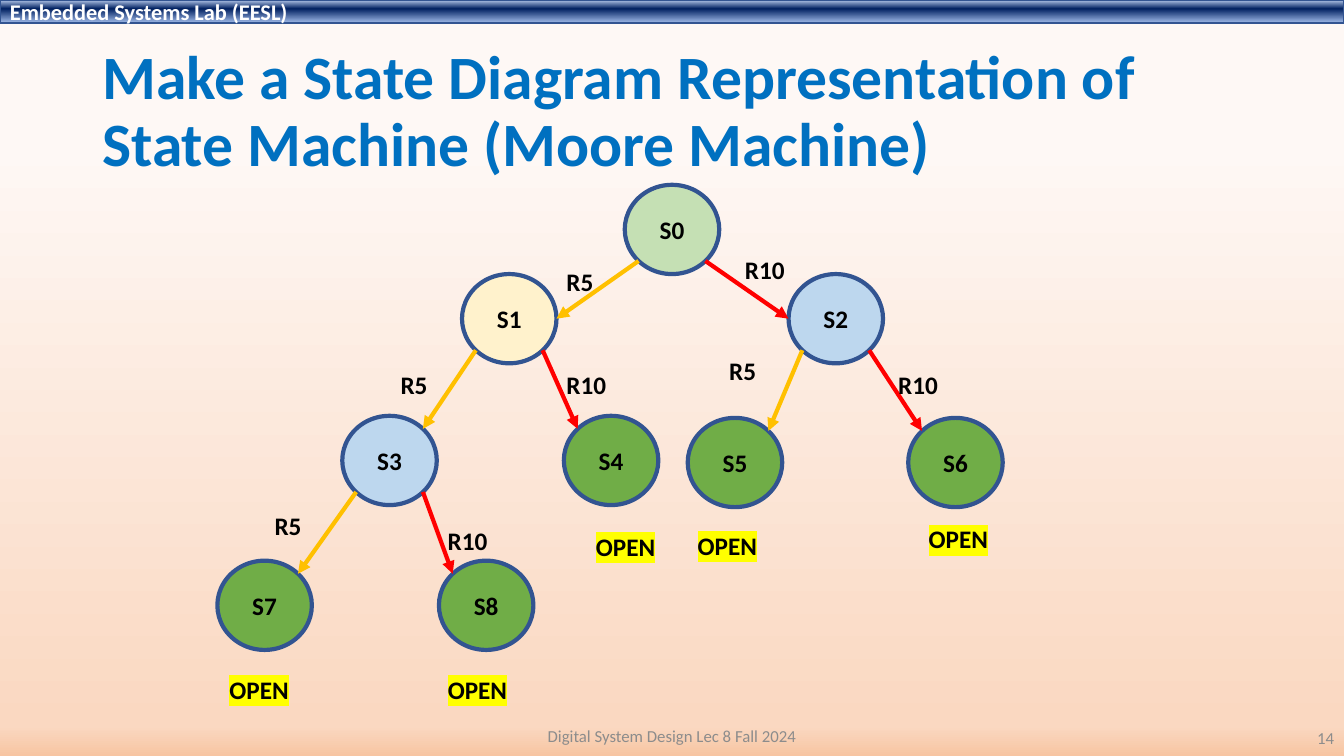
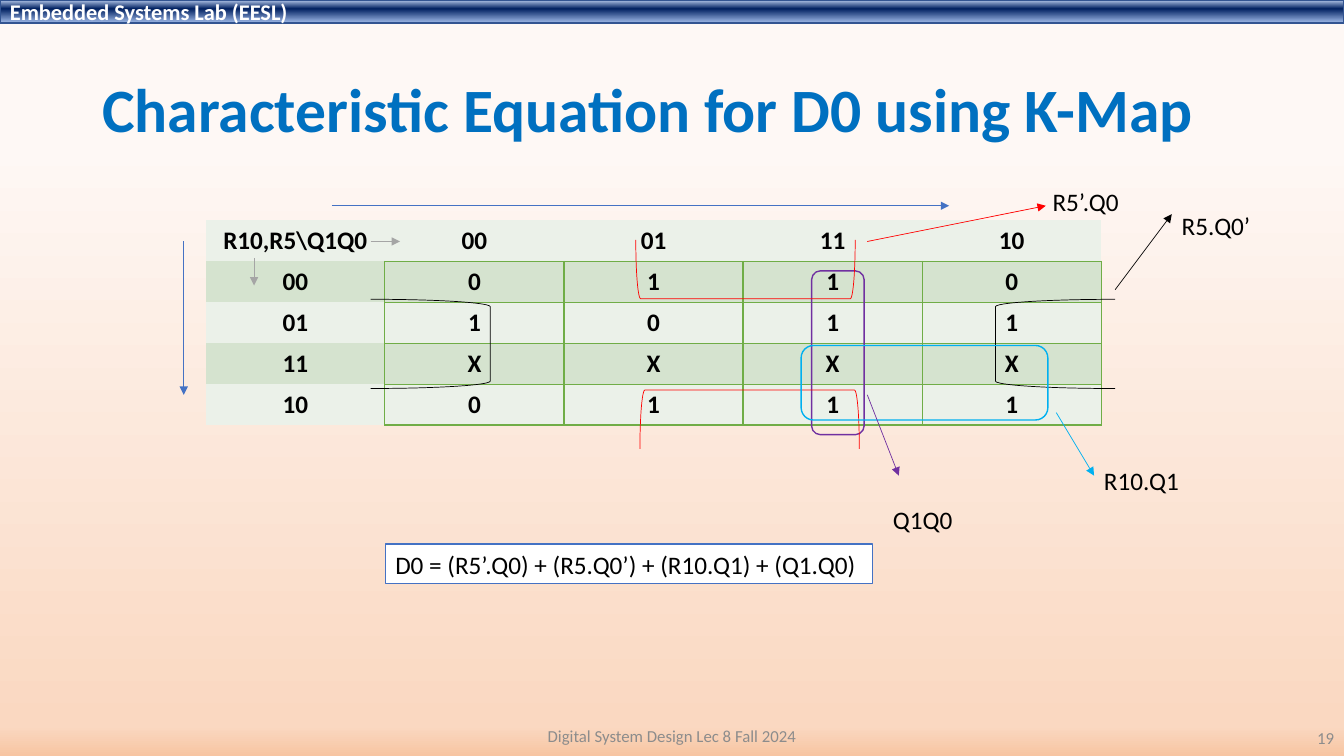
from math import cos, radians, sin

from lxml import etree
from pptx import Presentation
from pptx.dml.color import RGBColor
from pptx.enum.shapes import MSO_CONNECTOR, MSO_SHAPE
from pptx.enum.text import MSO_ANCHOR, MSO_AUTO_SIZE, PP_ALIGN
from pptx.oxml.ns import qn
from pptx.util import Pt

PX = 9525
WIDTH, HEIGHT = 1280, 720
FONT = "Calibri"
LEFT, CENTER, RIGHT = PP_ALIGN.LEFT, PP_ALIGN.CENTER, PP_ALIGN.RIGHT
MIDDLE = MSO_ANCHOR.MIDDLE
GROW = MSO_AUTO_SIZE.SHAPE_TO_FIT_TEXT
STRAIGHT = MSO_CONNECTOR.STRAIGHT
RECT, OVAL = MSO_SHAPE.RECTANGLE, MSO_SHAPE.OVAL
ROUNDED, BRACKET = MSO_SHAPE.ROUNDED_RECTANGLE, MSO_SHAPE.RIGHT_BRACKET
NO_STYLE = "{2D5ABB26-0587-4C30-8999-92F81FD0307C}"

BLACK, WHITE, RED, AMBER = "000000", "FFFFFF", "FF0000", "FFC000"
NAVY, BLUE, CYAN, PURPLE = "325491", "4472C4", "00B0F0", "7030A0"
TITLE, MUTED, GRAY, YELLOW = "0070C0", "8C8C8C", "A5A5A5", "FFFF00"
GREEN, MINT, CREAM, SKY = "70AD47", "C5E0B4", "FFF2CC", "BDD7EE"
ROW_FILLS = "EBF1E9", "D5E3CF"
BACKGROUND = [(19, "FEF8F5"), (96, "FAD8C1"), (100, "F7C5A2")]
BAND = [(2, "ABC0E4"), (38, "002060"), (93, "8FAADA")]


def px(*values):
    return [round(v * PX) for v in values]


def rgb(color):
    return RGBColor.from_string(color)


def paint_gradient(fill, element, stops):
    """Fill from top to bottom with (percent, colour) stops."""
    fill.gradient()
    fill.gradient_angle = 270
    gs_list = next(element.iter(qn("a:gsLst")))
    for gs in list(gs_list):
        gs_list.remove(gs)
    for percent, color in stops:
        gs = etree.SubElement(gs_list, qn("a:gs"), pos=str(percent * 1000))
        etree.SubElement(gs, qn("a:srgbClr"), val=color)


def write(tf, text, size=18, color=BLACK, bold=False, align=LEFT, highlight=None):
    p = tf.paragraphs[0]
    p.alignment = align
    r = p.add_run()
    r.text = text
    r.font.color.rgb = rgb(color)
    for name, value in {"name": FONT, "size": Pt(size), "bold": bold}.items():
        setattr(r.font, name, value)
    if highlight:
        mark = etree.Element(qn("a:highlight"))
        etree.SubElement(mark, qn("a:srgbClr"), val=highlight)
        r.font.fill  # the colour element precedes the highlight
        next(r.font._element.iter(qn("a:solidFill"))).addnext(mark)
    return p


def add_text(slide, box, text, **style):
    """Wrapped text, centred vertically in its box."""
    tf = slide.shapes.add_textbox(*px(*box)).text_frame
    tf.word_wrap = True
    tf.vertical_anchor = MIDDLE
    return write(tf, text, **style)


def add_label(slide, x, y, w, text, **style):
    """One line of text in a box that fits it."""
    sp = slide.shapes.add_textbox(*px(x, y, w, 38))
    sp.text_frame.word_wrap = False
    sp.text_frame.auto_size = GROW
    write(sp.text_frame, text, **style)
    return sp


def add_shape(slide, kind, box, line, width, fill=None, rotation=0):
    sp = slide.shapes.add_shape(kind, *px(*box))
    sp.shadow.inherit = False
    sp.rotation = rotation
    if fill:
        sp.fill.solid()
        sp.fill.fore_color.rgb = rgb(fill)
    else:
        sp.fill.background()
    sp.line.color.rgb = rgb(line)
    sp.line.width = Pt(width)
    return sp


def add_arrow(slide, start, end, color, width=0.5):
    c = slide.shapes.add_connector(STRAIGHT, *px(*start, *end))
    c.line.color.rgb = rgb(color)
    c.line.width = Pt(width)
    sp_pr = c.element.spPr
    etree.SubElement(sp_pr.find(qn("a:ln")), qn("a:tailEnd"), type="triangle")
    etree.SubElement(sp_pr, qn("a:effectLst"))


def add_slide(prs, title, number):
    """Background, lab band, title and footer."""
    slide = prs.slides.add_slide(prs.slide_layouts[6])
    paint_gradient(slide.background.fill, slide.element, BACKGROUND)
    band = add_shape(slide, RECT, (0, 0, WIDTH, 22), NAVY, 1)
    paint_gradient(band.fill, band.element, BAND)
    band.text_frame.vertical_anchor = MIDDLE
    write(band.text_frame, "Embedded Systems Lab (EESL)", 16, WHITE, True)
    p = add_text(slide, (88, 38, 1104, 139), title, size=44, color=TITLE, bold=True)
    p.line_spacing = 0.9
    add_text(slide, (424, 682, 432, 38), "Digital System Design Lec 8 Fall 2024",
             size=12, color=MUTED, align=CENTER)
    add_text(slide, (992, 684, 288, 38), str(number), size=12, color=MUTED, align=RIGHT)
    return slide


def add_state_tree(slide, x, y):
    node_w, node_h = 90, 85
    states = {
        "S0": (395, 6, MINT), "S1": (240, 91, CREAM), "S2": (551, 91, SKY),
        "S3": (126, 226, SKY), "S4": (337, 226, GREEN), "S5": (455, 228, GREEN),
        "S6": (665, 228, GREEN), "S7": (7, 364, GREEN), "S8": (218, 364, GREEN),
    }
    # Input: colour, label width, angle where the arrow leaves the parent
    inputs = {"R5": (AMBER, 45, 135), "R10": (RED, 57, 45)}
    # Parent, child, input, angle where the arrow meets the child, label place
    edges = [
        ("S0", "S1", "R5", 0, 330, 79), ("S0", "S2", "R10", 180, 500, 67),
        ("S1", "S3", "R5", -45, 172, 177), ("S1", "S4", "R10", -135, 330, 177),
        ("S2", "S5", "R5", -45, 485, 164), ("S2", "S6", "R10", -135, 646, 177),
        ("S3", "S7", "R5", -45, 52, 311), ("S3", "S8", "R10", -135, 217, 326),
    ]
    open_labels = [(9, 467), (358, 331), (455, 330), (217, 467), (675, 324)]

    def rim(state, angle):
        left, top, _ = states[state]
        a = radians(angle)
        return (x + left + node_w / 2 * (1 + cos(a)),
                y + top + node_h / 2 * (1 + sin(a)))

    for name, (left, top, fill) in states.items():
        sp = add_shape(slide, OVAL, (x + left, y + top, node_w, node_h), NAVY, 3, fill)
        sp.text_frame.vertical_anchor = MIDDLE
        write(sp.text_frame, name, bold=True, align=CENTER)
    for parent, child, signal, angle, left, top in edges:
        color, width, exit_angle = inputs[signal]
        add_arrow(slide, rim(parent, exit_angle), rim(child, angle), color, 3)
        add_label(slide, x + left, y + top, width, signal, bold=True)
    for left, top in open_labels:
        add_label(slide, x + left, y + top, 77, "OPEN", bold=True, highlight=YELLOW)


def add_borders(cell, color):
    tc_pr = cell._tc.get_or_add_tcPr()
    for side in ("lnL", "lnR", "lnT", "lnB"):
        ln = etree.SubElement(tc_pr, qn("a:" + side), w=str(Pt(1)))
        solid = etree.SubElement(ln, qn("a:solidFill"))
        etree.SubElement(solid, qn("a:srgbClr"), val=color)


def add_kmap_table(slide, x, y, w, h):
    rows = [
        ["R10,R5\\Q1Q0", "00", "01", "11", "10"],
        ["00", "0", "1", "1", "0"],
        ["01", "1", "0", "1", "1"],
        ["11", "X", "X", "X", "X"],
        ["10", "0", "1", "1", "1"],
    ]
    table = slide.shapes.add_table(len(rows), len(rows[0]), *px(x, y, w, h)).table
    table.first_row = table.horz_banding = False
    next(table._tbl.iter(qn("a:tableStyleId"))).text = NO_STYLE
    for i, row in enumerate(rows):
        for j, text in enumerate(row):
            cell = table.cell(i, j)
            if i and j:
                add_borders(cell, GREEN)
            cell.fill.solid()
            cell.fill.fore_color.rgb = rgb(ROW_FILLS[i % 2])
            write(cell.text_frame, text, bold=True, align=CENTER)


def add_kmap(slide, x, y, w, h):
    """Table with its groups, terms and the resulting equation."""
    add_kmap_table(slide, x, y, w, h)

    # Groups: shape, box, colour, line width, rotation
    groups = [
        (BRACKET, (157, 75, 114, 85), BLACK, 0.5, 0),
        (BRACKET, (752, 75, 114, 85), BLACK, 0.5, 180),
        (ROUNDED, (577, 48, 50, 156), PURPLE, 1, 0),
        (BRACKET, (490, 85, 56, 209), RED, 0.5, 270),
        (BRACKET, (486, -58, 56, 209), RED, 0.5, 90),
        (ROUNDED, (567, 119, 235, 71), CYAN, 1, 0),
    ]
    for kind, (left, top, gw, gh), color, width, rotation in groups:
        add_shape(slide, kind, (x + left, y + top, gw, gh), color, width,
                  rotation=rotation)

    # Axis arrows, then one arrow from each group to its term
    arrows = [
        (-21, 20, -21, 166, BLUE), (120, -14, 708, -14, BLUE),
        (157, 20, 185, 20, GRAY), (46, 36, 46, 62, GRAY),
        (630, 20, 800, -14, RED), (866, 66, 920, -6, BLACK),
        (810, 183, 846, 243, CYAN), (630, 166, 660, 243, PURPLE),
    ]
    for x1, y1, x2, y2, color in arrows:
        add_arrow(slide, (x + x1, y + y1), (x + x2, y + y2), color)

    terms = [
        (797, -37, 83, "R5’.Q0"), (920, -14, 85, "R5.Q0’"),
        (846, 228, 91, "R10.Q1"), (645, 266, 77, "Q1Q0"),
    ]
    for left, top, width, text in terms:
        add_label(slide, x + left, y + top, width, text)

    # Equation
    sp = add_label(slide, x + 171, y + 308, 464,
                   "D0 = (R5’.Q0) + (R5.Q0’) + (R10.Q1) + (Q1.Q0)")
    sp.fill.solid()
    sp.fill.fore_color.rgb = rgb(WHITE)
    sp.line.color.rgb = rgb(BLUE)
    sp.line.width = Pt(1)


def main():
    prs = Presentation()
    prs.slide_width, prs.slide_height = px(WIDTH, HEIGHT)
    slide = add_slide(
        prs, "Make a State Diagram Representation of State Machine (Moore Machine)", 14)
    add_state_tree(slide, 200, 170)
    slide = add_slide(prs, "Characteristic Equation for D0 using K-Map", 19)
    add_kmap(slide, 196, 210, 853, 195)
    prs.save("out.pptx")


if __name__ == "__main__":
    main()
